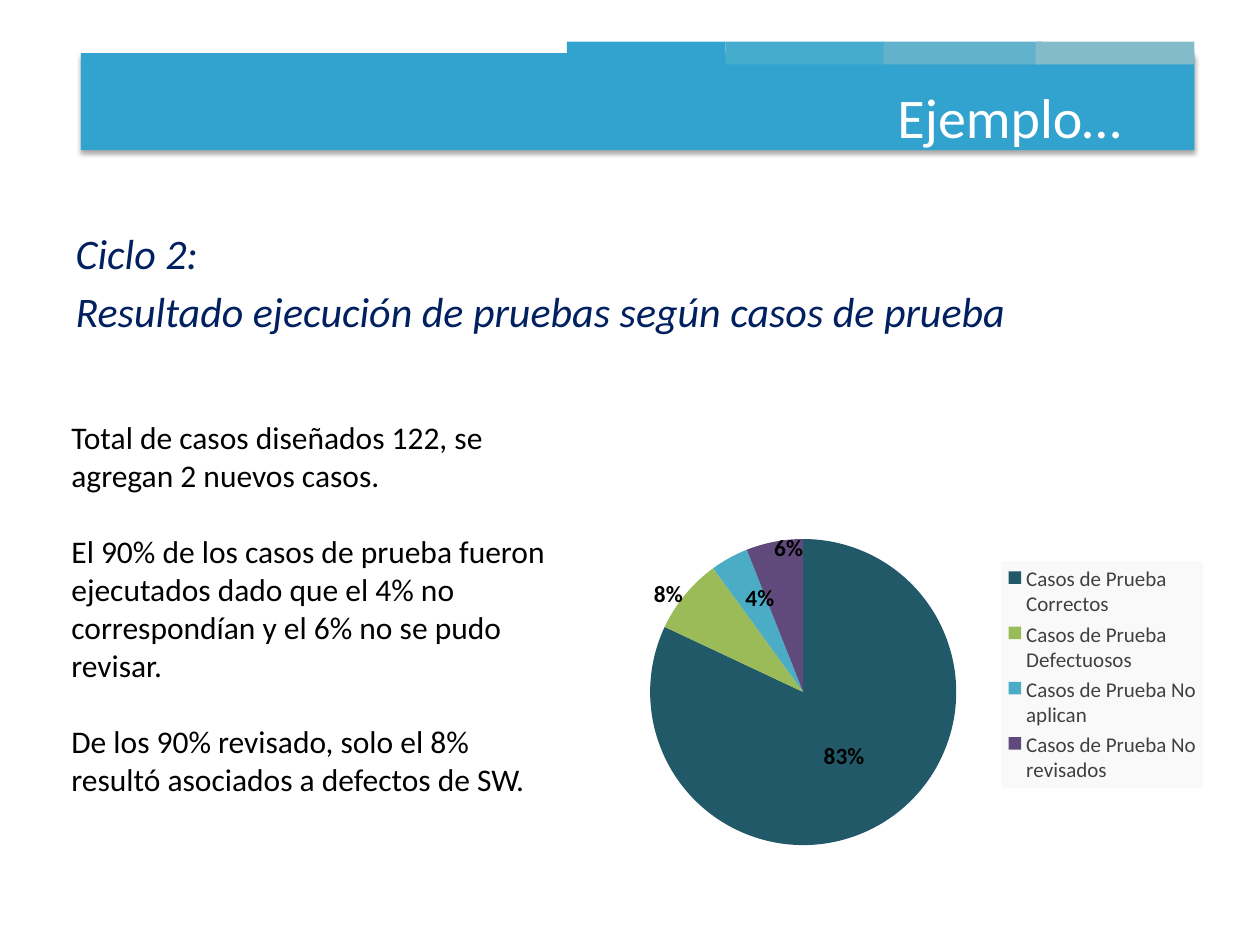
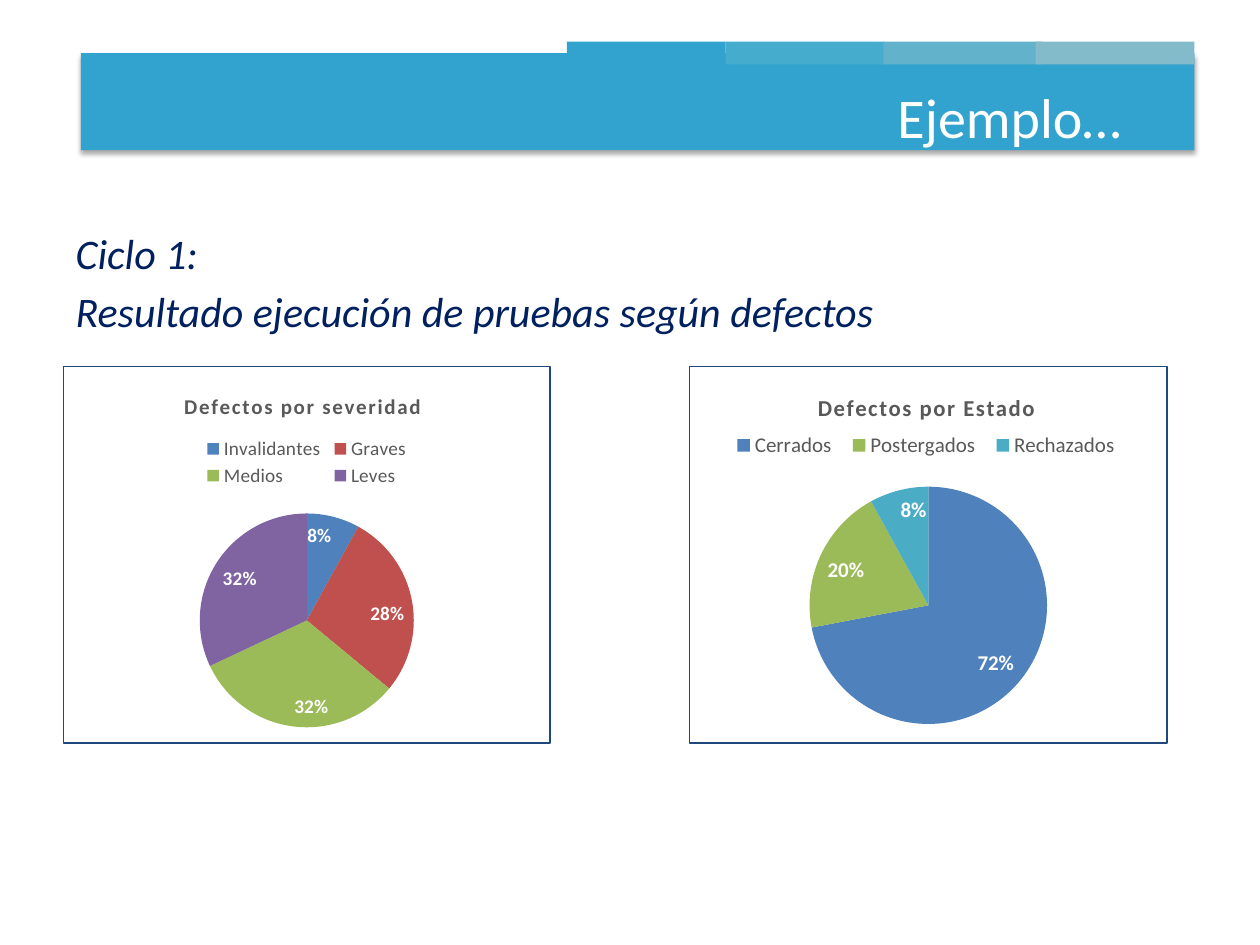
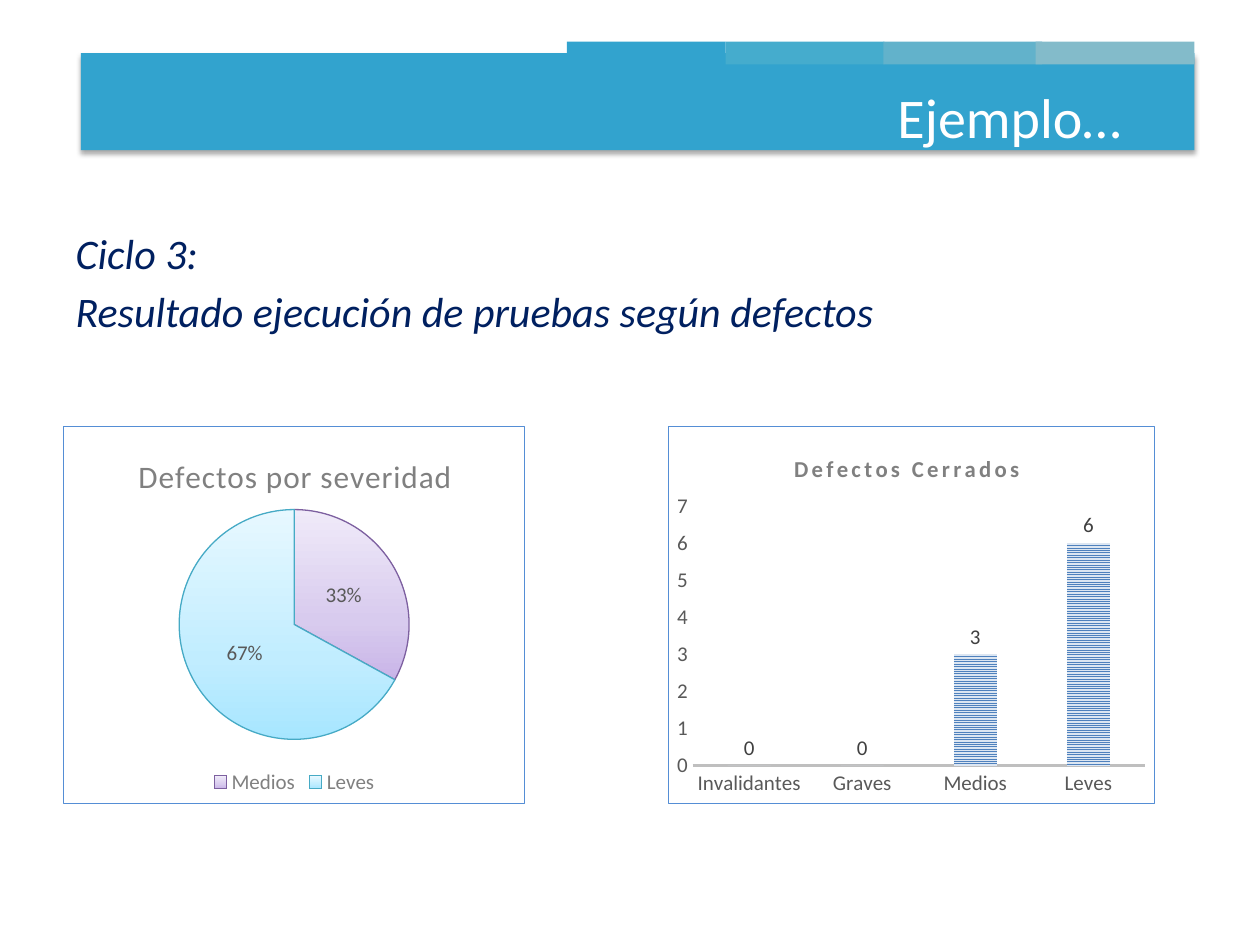
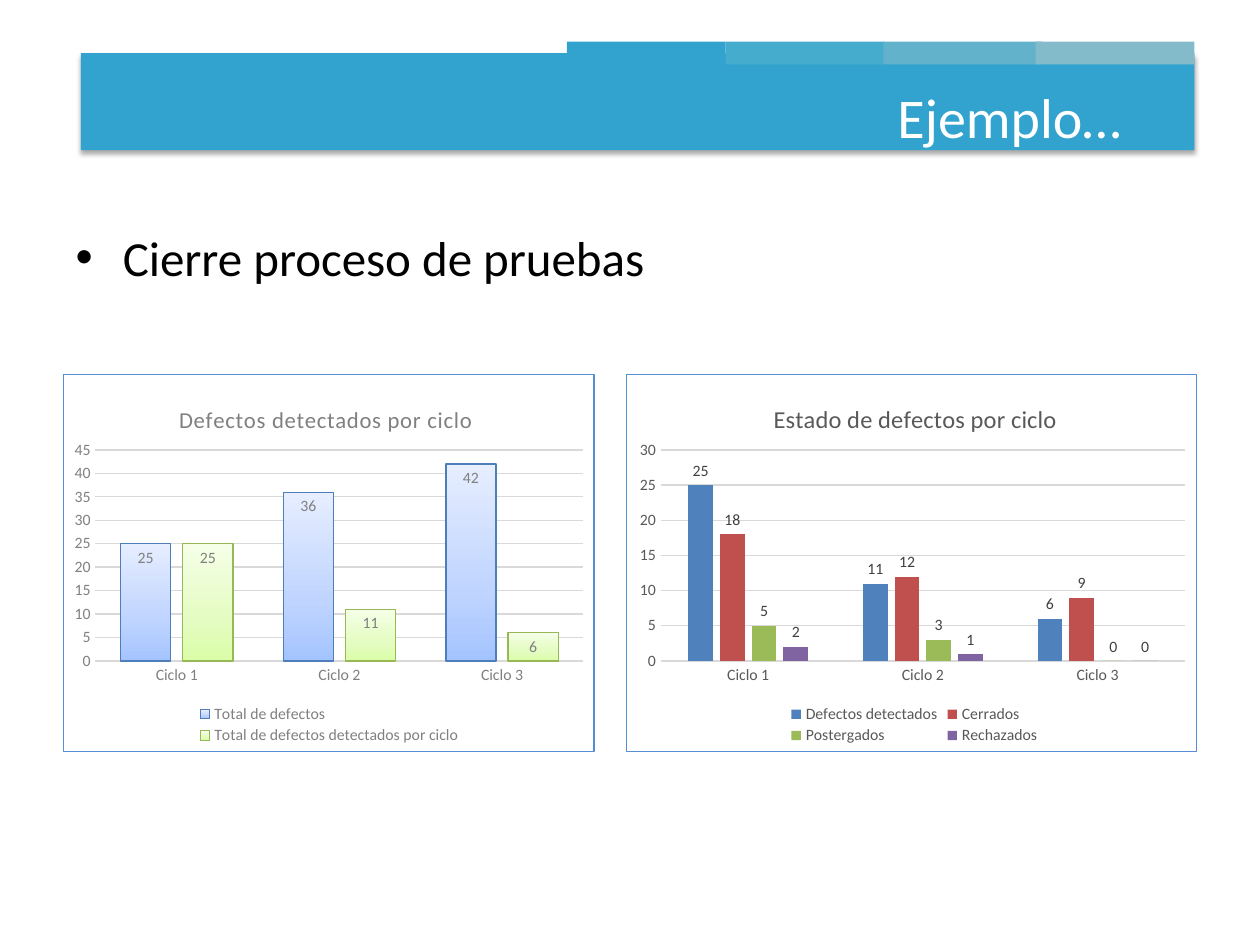
from copy import deepcopy

from pptx import Presentation, oxml, util as u
from pptx.chart.data import CategoryChartData
from pptx.dml.color import RGBColor
from pptx.enum import chart as chart_enum, dml, shapes, text
from pptx.oxml import ns

FONT = "Calibri"
BLACK = RGBColor(0x00, 0x00, 0x00)
WHITE = RGBColor(0xFF, 0xFF, 0xFF)
NAVY = RGBColor(0x00, 0x20, 0x60)
BAND = RGBColor(0x32, 0xA3, 0xCE)
TABS = [BAND, RGBColor(0x45, 0xAC, 0xCD), RGBColor(0x62, 0xB2, 0xCB), RGBColor(0x83, 0xBB, 0xCA)]
DARK_GREY = RGBColor(0x40, 0x40, 0x40)
GREY = RGBColor(0x59, 0x59, 0x59)
MID_GREY = RGBColor(0x80, 0x80, 0x80)
AXIS_GREY = RGBColor(0xBF, 0xBF, 0xBF)
GRID_GREY = RGBColor(0xD9, 0xD9, 0xD9)
FRAME_DARK = RGBColor(0x1F, 0x49, 0x7D)
FRAME_BLUE = RGBColor(0x55, 0x8E, 0xD5)
PALE_BLUE = RGBColor(0xDC, 0xE6, 0xF2)
TEAL = RGBColor(0x21, 0x59, 0x68)
BLUE = RGBColor(0x4F, 0x81, 0xBD)
RED = RGBColor(0xC0, 0x50, 0x4D)
GREEN = RGBColor(0x9B, 0xBB, 0x59)
PURPLE = RGBColor(0x80, 0x64, 0xA2)
DARK_PURPLE = RGBColor(0x60, 0x4A, 0x7B)
AQUA = RGBColor(0x4B, 0xAC, 0xC6)

# Soft fills: three gradient stops, then the outline
BLUE_FADE, RED_FADE, GREEN_FADE, PURPLE_FADE, AQUA_FADE = [
    [RGBColor.from_string(colour) for colour in row.split()]
    for row in (
        "A4C4FF BFD4FF E6EEFF 4D7EB9",
        "FFA6A5 FFC0BF FFE7E7 BE4B48",
        "DAFDA7 E4FCC2 F5FFE7 98B757",
        "C9B5E8 D8CBEE F0EAF9 7D60A0",
        "A7E6FF C1EDFF E7F8FF 46AAC5",
    )
]
STRIPES = "stripes"

PIE = chart_enum.XL_CHART_TYPE.PIE
COLUMNS = chart_enum.XL_CHART_TYPE.COLUMN_CLUSTERED
LEGEND = chart_enum.XL_LEGEND_POSITION
LABEL = chart_enum.XL_LABEL_POSITION
SEVERITIES = ["Invalidantes", "Graves", "Medios", "Leves"]
CYCLES = ["Ciclo 1", "Ciclo 2", "Ciclo 3"]
CHART_HEIGHT = 7.62


def place(owner, index, values, modes=""):
    """Give a chart part a manual layout of x, y and perhaps w, h."""
    for layout in owner.findall(ns.qn("c:layout")):
        owner.remove(layout)
    sizes = "".join(f'<c:{key} val="{value}"/>' for key, value in zip("xywh", values))
    owner.insert(index, oxml.parse_xml(
        f'<c:layout {ns.nsdecls("c")}><c:manualLayout>{modes}{sizes}</c:manualLayout></c:layout>'))


def paint(part, colour, series_element):
    """Fill a series or a point with a plain colour, stripes or a fade."""
    fill = part.format.fill
    if colour == STRIPES:
        fill.patterned()
        fill.pattern = dml.MSO_PATTERN.NARROW_HORIZONTAL
        fill.fore_color.rgb, fill.back_color.rgb = BLUE, PALE_BLUE
    elif isinstance(colour, RGBColor):
        fill.solid()
        fill.fore_color.rgb = colour
    else:
        fill.gradient()
        fill.gradient_angle = 90
        stop_list = series_element.xpath(".//a:gsLst")[-1]
        stop_list.insert(1, deepcopy(stop_list[0]))
        for stop, position, stop_colour in zip(fill.gradient_stops, (0, 0.35, 1), colour):
            stop.position = position
            stop.color.rgb = stop_colour
        part.format.line.color.rgb = colour[3]
        part.format.line.width = u.Pt(0.75)


presentation = Presentation()
presentation.slide_width, presentation.slide_height = u.Cm(25.4), u.Cm(19.05)
layout = presentation.slide_layouts[1]
slides = [presentation.slides.add_slide(layout) for _ in range(4)]

# Band and tabs, shared through the layout
bars = [(1.63, 1.07, 22.45, 1.96, BAND)]
bars += [(left, 0.84, 3.2, 0.46, colour) for left, colour in zip((11.43, 14.63, 17.81, 20.88), TABS)]
for index, (left, top, width, height, colour) in enumerate(bars):
    bar = slides[0].shapes.add_shape(
        shapes.MSO_SHAPE.RECTANGLE, u.Cm(left), u.Cm(top), u.Cm(width), u.Cm(height))
    bar.fill.solid()
    bar.fill.fore_color.rgb = colour
    bar.line.fill.background()
    bar.shadow.inherit = False
    if index == 0:
        bar.element.xpath(".//a:effectLst")[0].append(oxml.parse_xml(
            f'<a:outerShdw {ns.nsdecls("a")} blurRad="39370" dist="22860" dir="5400000">'
            '<a:srgbClr val="000000"><a:alpha val="35000"/></a:srgbClr></a:outerShdw>'))
    bar.element.xpath("./p:nvSpPr/p:cNvPr")[0].set("id", str(20 + index))
    layout.shapes.element.insert(2 + index, bar.element)

# Titles and body text
BY_DEFECT = "Resultado ejecución de pruebas según defectos"
bodies = [
    ["Ciclo 2:", "Resultado ejecución de pruebas según casos de prueba"],
    ["Ciclo 1:", BY_DEFECT],
    ["Ciclo 3:", BY_DEFECT],
    ["Cierre proceso de pruebas"],
]
for slide, lines in zip(slides, bodies):
    title, body = slide.shapes.title, slide.placeholders[1]
    title.left, title.top, title.width, title.height = u.Cm(0), u.Cm(0.76), u.Cm(22.86), u.Cm(3.18)
    body.left, body.top, body.width, body.height = u.Cm(1.27), u.Cm(4.45), u.Cm(22.86), u.Cm(12.57)
    for shape in (title, body):
        shape.text_frame.word_wrap = True
        shape.text_frame.auto_size = text.MSO_AUTO_SIZE.NONE
    title.text_frame.vertical_anchor = text.MSO_ANCHOR.MIDDLE
    paragraph = title.text_frame.paragraphs[0]
    paragraph.alignment = text.PP_ALIGN.RIGHT
    run = paragraph.add_run()
    run.text = "Ejemplo…"
    run.font.name, run.font.size, run.font.color.rgb = FONT, u.Pt(32), WHITE

    is_heading = len(lines) == 2
    for index, line in enumerate(lines):
        frame = body.text_frame
        paragraph = frame.add_paragraph() if index else frame.paragraphs[0]
        if is_heading:
            properties = paragraph._p.get_or_add_pPr()
            properties.set("marL", "0")
            properties.set("indent", "0")
            properties.append(oxml.parse_xml(f'<a:buNone {ns.nsdecls("a")}/>'))
        if index == 0:
            paragraph.space_before = u.Pt(0)
        run = paragraph.add_run()
        run.text = line
        run.font.name = FONT
        run.font.size = u.Pt(24 if is_heading else 28)
        run.font.color.rgb = NAVY if is_heading else BLACK
        run.font.italic = is_heading

# Comments beside the first pie
comments = slides[0].shapes.add_textbox(u.Cm(1.19), u.Cm(8.31), u.Cm(10.24), u.Cm(7.95))
comments.text_frame.word_wrap = True
for index, line in enumerate([
    "Total de casos diseñados 122, se agregan 2 nuevos casos.",
    "El 90% de los casos de prueba fueron ejecutados dado que el 4% no correspondían "
    "y el 6% no se pudo revisar.",
    "De los 90% revisado, solo el 8% resultó asociados a defectos de SW.",
]):
    frame = comments.text_frame
    paragraph = frame.add_paragraph() if index else frame.paragraphs[0]
    paragraph.space_before = u.Pt(22 if index else 0)
    run = paragraph.add_run()
    run.text = line
    run.font.name, run.font.size, run.font.color.rgb = FONT, u.Pt(18), BLACK

# Charts: box is left, top, width; title is text, size, bold, spacing, colour, x, y;
# legend is position, size, colour, layout; labels is position, size, colour, bold;
# axes is text size, text colour, line colour, line width, maximum, step, gap, overlap
charts = [
    dict(slide=0, box=(11.81, 9.8, 12.7), kind=PIE,
         categories=["Casos de Prueba " + state
                     for state in ("Correctos", "Defectuosos", "No aplican", "No revisados")],
         series={"Series 1": [82, 8, 4, 6]}, colours=[TEAL, GREEN, AQUA, DARK_PURPLE],
         plot=(0.1, 0.14, 0.49, 0.81),
         legend=(LEGEND.RIGHT, 12, DARK_GREY, (0.66, 0.2, 0.32, 0.6)), legend_fill="F9F9F9",
         labels=(LABEL.CENTER, 13.3, BLACK, True),
         first_label="83%", label_shifts=[(-0.12, -0.13), (-0.01, -0.07), (0, -0.18)]),
    dict(slide=1, box=(1.27, 7.37, 9.83), kind=PIE, categories=SEVERITIES,
         series={"Series 1": [8, 28, 32, 32]}, colours=[BLUE, RED, GREEN, PURPLE],
         title=("Defectos por severidad", 12, True, 1, GREY, 0.24, 0.06),
         frame=FRAME_DARK, plot=(0.28, 0.39, 0.44, 0.57),
         legend=(LEGEND.TOP, 11, GREY, (0.28, 0.18, 0.44, 0.15)),
         labels=(LABEL.INSIDE_END, 11, WHITE, True)),
    dict(slide=1, box=(13.89, 7.37, 9.65), kind=PIE,
         categories=["Cerrados", "Postergados", "Rechazados"],
         series={"Series 1": [72, 20, 8]}, colours=[BLUE, GREEN, AQUA],
         title=("Defectos por Estado", 13, True, 1, GREY, 0.26, 0.06),
         frame=FRAME_DARK, plot=(0.25, 0.32, 0.5, 0.63),
         legend=(LEGEND.TOP, 12, GREY, (0.07, 0.17, 0.85, 0.08)),
         labels=(LABEL.INSIDE_END, 12, WHITE, True)),
    dict(slide=2, box=(1.27, 8.59, 9.32), kind=PIE, categories=["Por Severidad"] + SEVERITIES,
         series={"Series 1": [None, 0, 0, 33, 67]},
         colours=[BLUE_FADE, RED_FADE, GREEN_FADE, PURPLE_FADE, AQUA_FADE],
         title=("Defectos por severidad", 18, False, 0.5, MID_GREY, 0.15, 0.06),
         frame=FRAME_BLUE, plot=(0.25, 0.22, 0.5, 0.61),
         legend=(LEGEND.BOTTOM, 12, MID_GREY, (0.31, 0.91, 0.38, 0.08)), hidden=range(3),
         labels=(LABEL.CENTER, 12, GREY, False)),
    dict(slide=2, box=(13.46, 8.59, 9.83), kind=COLUMNS, categories=SEVERITIES,
         series={"Series 1": [0, 0, 3, 6]}, colours=[STRIPES],
         title=("Defectos Cerrados", 13, True, 2, MID_GREY, 0.25, 0.06),
         frame=FRAME_BLUE, plot=(0.05, 0.21, 0.93, 0.69),
         labels=(LABEL.OUTSIDE_END, 12, DARK_GREY, False),
         axes=(12, GREY, AXIS_GREY, 1.5, 7, 1, 164, -22)),
    dict(slide=3, box=(1.27, 7.54, 10.72), kind=COLUMNS, categories=CYCLES,
         series={"Total de defectos": [25, 36, 42],
                 "Total de defectos detectados por ciclo": [25, 11, 6]},
         colours=[BLUE_FADE, GREEN_FADE],
         title=("Defectos detectados por ciclo", 13, False, 0.5, MID_GREY, 0.21, 0.07),
         frame=FRAME_BLUE, plot=(0.06, 0.2, 0.92, 0.56), grid=True,
         legend=(LEGEND.BOTTOM, 9, MID_GREY, (0.25, 0.87, 0.5, 0.12)),
         labels=(LABEL.INSIDE_END, 9, MID_GREY, False),
         axes=(9, MID_GREY, GRID_GREY, 0.75, 45, 5, 100, -24)),
    dict(slide=3, box=(12.62, 7.54, 11.51), kind=COLUMNS, categories=CYCLES,
         series={"Defectos detectados": [25, 11, 6], "Cerrados": [18, 12, 9],
                 "Postergados": [5, 3, 0], "Rechazados": [2, 1, 0]},
         colours=[BLUE, RED, GREEN, PURPLE],
         title=("Estado de defectos por ciclo", 14, False, 0, GREY, 0.25, 0.06),
         frame=FRAME_BLUE, plot=(0.06, 0.2, 0.92, 0.56), grid=True,
         legend=(LEGEND.BOTTOM, 9, GREY, (0.28, 0.87, 0.45, 0.12)),
         labels=(LABEL.OUTSIDE_END, 9, DARK_GREY, False),
         axes=(9, GREY, GRID_GREY, 0.75, 30, 5, 219, -27)),
]
EDGES = '<c:xMode val="edge"/><c:yMode val="edge"/>'

for item in charts:
    data = CategoryChartData()
    data.categories = item["categories"]
    for name, values in item["series"].items():
        data.add_series(name, values)
    left, top, width = item["box"]
    chart = slides[item["slide"]].shapes.add_chart(
        item["kind"], u.Cm(left), u.Cm(top), u.Cm(width), u.Cm(CHART_HEIGHT), data).chart
    chart.font.name, chart.font.size, chart.font.color.rgb = FONT, u.Pt(10), BLACK
    is_pie = item["kind"] == PIE
    plot = chart.plots[0]
    plot.vary_by_categories = is_pie
    place(chart.element.xpath("c:chart/c:plotArea")[0], 0, item["plot"],
          '<c:layoutTarget val="inner"/>' + EDGES)

    # Frame
    line = '<a:ln><a:noFill/></a:ln>'
    if "frame" in item:
        line = f'<a:ln w="9525"><a:solidFill><a:srgbClr val="{item["frame"]}"/></a:solidFill></a:ln>'
    chart.element.xpath("c:chart")[0].addnext(oxml.parse_xml(
        f'<c:spPr {ns.nsdecls("c", "a")}><a:noFill/>{line}</c:spPr>'))

    # Title
    chart.has_title = "title" in item
    if chart.has_title:
        words, size, bold, spacing, colour, x, y = item["title"]
        run = chart.chart_title.text_frame.paragraphs[0].add_run()
        run.text = words
        run.font.name, run.font.size, run.font.bold = FONT, u.Pt(size), bold
        run.font.color.rgb = colour
        chart.chart_title.include_in_layout = False
        chart.element.xpath("c:chart/c:title//a:r/a:rPr")[0].set("spc", str(int(spacing * 100)))
        place(chart.element.xpath("c:chart/c:title")[0], 1, (x, y), EDGES)

    # Legend
    chart.has_legend = "legend" in item
    if chart.has_legend:
        position, size, colour, area = item["legend"]
        legend = chart.legend
        legend.position = position
        legend.include_in_layout = False
        legend.font.name, legend.font.size, legend.font.color.rgb = FONT, u.Pt(size), colour
        legend_element = chart.element.xpath("c:chart/c:legend")[0]
        place(legend_element, 1, area, EDGES)
        for index in item.get("hidden", ()):
            legend_element.insert(1 + index, oxml.parse_xml(
                f'<c:legendEntry {ns.nsdecls("c")}><c:idx val="{index}"/>'
                '<c:delete val="1"/></c:legendEntry>'))
        if "legend_fill" in item:
            legend_element.xpath("c:overlay")[0].addnext(oxml.parse_xml(
                f'<c:spPr {ns.nsdecls("c", "a")}><a:solidFill>'
                f'<a:srgbClr val="{item["legend_fill"]}"/></a:solidFill></c:spPr>'))

    # Fills and labels
    position, size, colour, bold = item["labels"]
    series_elements = chart.element.xpath("c:chart/c:plotArea//c:ser")
    for index, (series, series_element) in enumerate(zip(plot.series, series_elements)):
        if is_pie:
            for point_index, point_colour in enumerate(item["colours"]):
                paint(series.points[point_index], point_colour, series_element)
        else:
            paint(series, item["colours"][index], series_element)
            series.invert_if_negative = False
        labels = series.data_labels
        labels.show_percentage, labels.show_value = is_pie, not is_pie
        labels.number_format = "0%" if is_pie else "General"
        labels.number_format_is_linked = False
        labels.position = position
        fonts = [labels.font]

        if "first_label" in item:
            label = series.points[0].data_label
            run = label.text_frame.paragraphs[0].add_run()
            run.text = item["first_label"]
            label.position = position
            fonts.append(run.font)
        for point_index, shift in enumerate(item.get("label_shifts", ()), 1):
            label = series.points[point_index].data_label
            label.position = position
            fonts.append(label.font)
            label_element = series_element.xpath("c:dLbls/c:dLbl")[point_index]
            label_element.xpath("c:showVal")[0].set("val", "0")
            label_element.xpath("c:showPercent")[0].set("val", "1")
            place(label_element, 1, shift)
        for font in fonts:
            font.name, font.size, font.bold, font.color.rgb = FONT, u.Pt(size), bold, colour
        for point_index in item.get("hidden", ()):
            series_element.xpath("c:dLbls")[0].insert(point_index, oxml.parse_xml(
                f'<c:dLbl {ns.nsdecls("c")}><c:idx val="{point_index}"/>'
                '<c:delete val="1"/></c:dLbl>'))

    # Axes
    if not is_pie:
        size, colour, line_colour, line_width, maximum, step, gap, overlap = item["axes"]
        plot.gap_width, plot.overlap = gap, overlap
        category_axis, value_axis = chart.category_axis, chart.value_axis
        for axis in (category_axis, value_axis):
            axis.major_tick_mark = axis.minor_tick_mark = chart_enum.XL_TICK_MARK.NONE
            font = axis.tick_labels.font
            font.name, font.size, font.color.rgb = FONT, u.Pt(size), colour
        category_axis.format.line.color.rgb = line_colour
        category_axis.format.line.width = u.Pt(line_width)
        value_axis.format.line.fill.background()
        value_axis.minimum_scale, value_axis.maximum_scale = 0, maximum
        value_axis.major_unit = step
        value_axis.has_major_gridlines = item.get("grid", False)
        if value_axis.has_major_gridlines:
            value_axis.major_gridlines.format.line.color.rgb = GRID_GREY
            value_axis.major_gridlines.format.line.width = u.Pt(0.75)

presentation.save("out.pptx")
